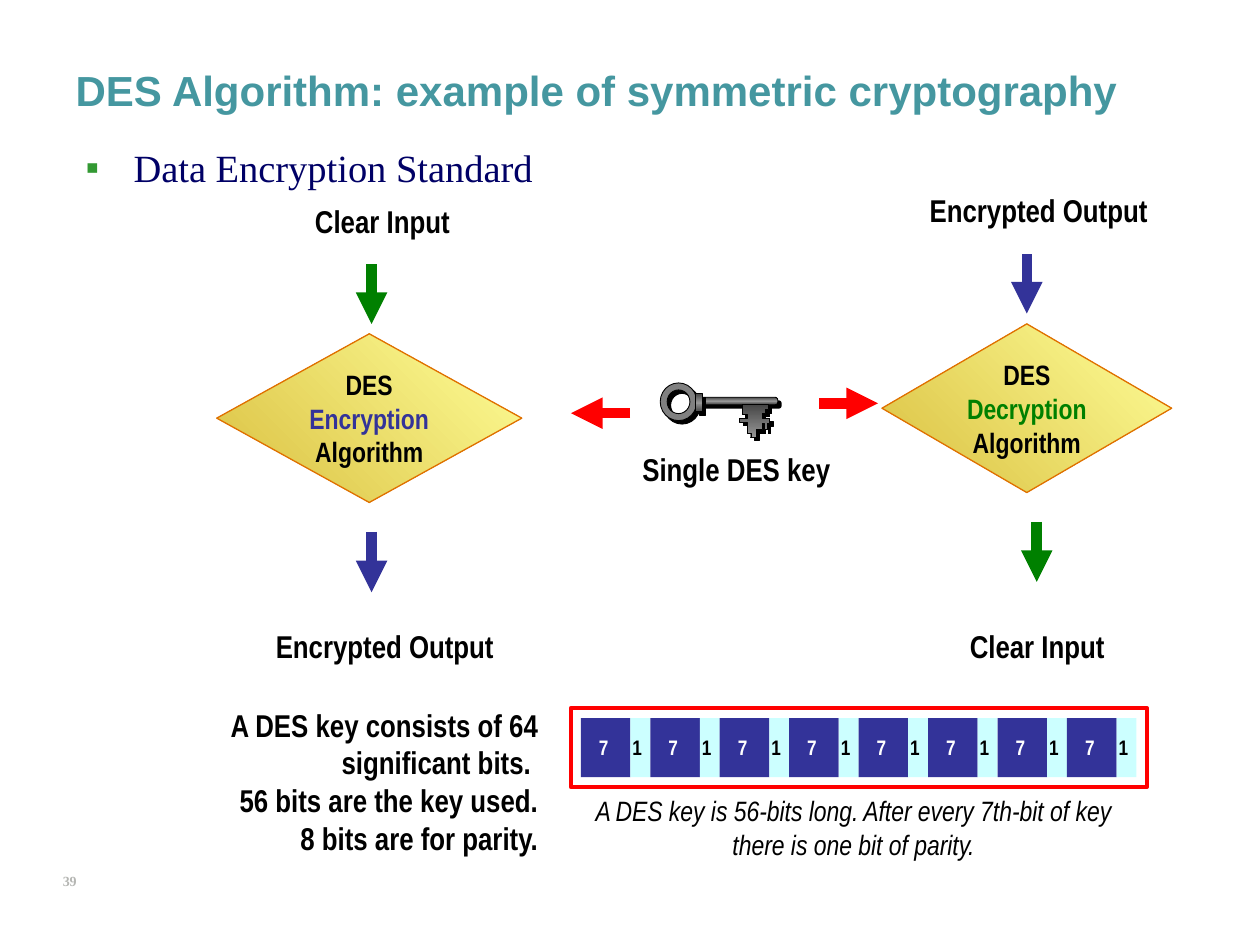
import copy

import pptx
import pptx.dml.color
import pptx.enum.shapes
import pptx.enum.text
import pptx.oxml
import pptx.oxml.ns
import pptx.util
from lxml import etree

Cm, Pt = pptx.util.Cm, pptx.util.Pt
RGB = pptx.dml.color.RGBColor.from_string
MSO = pptx.enum.shapes.MSO_SHAPE
ALIGN = pptx.enum.text.PP_ALIGN
ANCHOR = pptx.enum.text.MSO_ANCHOR
qn = pptx.oxml.ns.qn
NS = 'xmlns:a="http://schemas.openxmlformats.org/drawingml/2006/main"'

THEME = {
    "title": "4597A0", "body": "000066", "bullet": "339933", "number": "B5B6B3",
    "text": "000000", "light": "FFFFFF", "clear": "008000", "secret": "333399",
    "key": "FF0000", "parity": "CCFFFF", "edge": "E07000",
    "gold": ("D9BF40", "FFFF99"), "steel": ("454545", "969696"), "ring": "808080",
    "title_pt": 24, "body_pt": 22, "label_pt": 18, "node_pt": 16, "bit_pt": 12,
    "number_pt": 8, "sans": "Arial", "narrow": "Arial Narrow", "serif": "Times New Roman",
}


def write(p, text, size="label_pt", color="text", font="narrow", bold=True,
          italic=False, align=ALIGN.LEFT):
    p.alignment = align
    for i, line in enumerate(text.split("\n")):
        if i:
            p.add_line_break()
        r = p.add_run()
        r.text = line
        r.font.size = Pt(THEME[size])
        r.font.name = THEME[font]
        r.font.color.rgb = RGB(THEME[color])
        r.font.bold, r.font.italic = bold, italic


def text_box(shapes, x, y, w, h, *paragraphs, wrap=True, **fmt):
    tf = shapes.add_textbox(Cm(x), Cm(y), Cm(w), Cm(h)).text_frame
    tf.word_wrap = wrap
    tf.auto_size = pptx.enum.text.MSO_AUTO_SIZE.SHAPE_TO_FIT_TEXT
    for i, text in enumerate(paragraphs):
        write(tf.add_paragraph() if i else tf.paragraphs[0], text, **fmt)
    return tf


prs = pptx.Presentation()
prs.slide_width, prs.slide_height = Cm(25.4), Cm(19.05)
s = prs.slides.add_slide(prs.slide_layouts[1])

# Title
sp = s.shapes.title
sp.left, sp.top, sp.width, sp.height = Cm(1.27), Cm(1.07), Cm(22.86), Cm(1.47)
write(sp.text_frame.paragraphs[0], "DES Algorithm: example of symmetric cryptography",
      size="title_pt", color="title", font="sans")

# Bulleted body
sp = s.placeholders[1]
sp.left, sp.top, sp.width, sp.height = Cm(1.47), Cm(2.77), Cm(22.66), Cm(13.84)
p = sp.text_frame.paragraphs[0]
write(p, "Data Encryption Standard", size="body_pt", color="body", font="serif", bold=False)
p.space_before = Pt(3)
pPr = p._p.get_or_add_pPr()
pPr.set("marL", str(Cm(0.97)))
pPr.set("indent", str(-Cm(0.97)))
for xml in (f'<a:buClr {NS}><a:srgbClr val="{THEME["bullet"]}"/></a:buClr>',
            f'<a:buChar {NS} char="▪"/>'):
    pPr.append(pptx.oxml.parse_xml(xml))

# Slide number
tf = text_box(s.shapes, 0.91, 17.58, 0.64, 1.04, "39", size="number_pt",
              color="number", font="serif", align=ALIGN.RIGHT)
tf.auto_size = pptx.enum.text.MSO_AUTO_SIZE.NONE
tf.margin_left = tf.margin_right = tf.margin_top = tf.margin_bottom = 0
tf.paragraphs[0].line_spacing = Pt(10)
tf.paragraphs[0].space_before = Pt(2)

# Key: shaft, bit, ring and collar
teeth = [(14.96, 8.15), (14.96, 8.36), (15.06, 8.36), (15.06, 8.43), (14.91, 8.43),
         (14.91, 8.51), (15.06, 8.51), (15.06, 8.74), (15.14, 8.74), (15.14, 8.81),
         (15.24, 8.81), (15.24, 8.66), (15.37, 8.66), (15.37, 8.53), (15.42, 8.53),
         (15.42, 8.66), (15.47, 8.66), (15.47, 8.53), (15.52, 8.53), (15.52, 8.43),
         (15.37, 8.43), (15.37, 8.33), (15.44, 8.33), (15.44, 8.26), (15.49, 8.26),
         (15.49, 8.15)]
g = s.shapes.add_group_shape()
shaft = g.shapes.add_shape(MSO.ROUNDED_RECTANGLE, Cm(14.08), Cm(8.01), Cm(1.6), Cm(0.15))
shaft.adjustments[0] = 0.34
outline = [(Cm(x), Cm(y)) for x, y in teeth]
fb = g.shapes.build_freeform(*outline[0])
fb.add_line_segments(outline[1:], close=True)
bit = fb.convert_to_shape()
ring = g.shapes.add_shape(MSO.DONUT, Cm(13.31), Cm(7.72), Cm(0.74), Cm(0.76))
ring.adjustments[0] = 0.19
collar = g.shapes.add_shape(MSO.RECTANGLE, Cm(14.03), Cm(7.94), Cm(0.13), Cm(0.36))
dark, pale = THEME["steel"]
for sp, colors in ((shaft, (dark, pale, dark)), (bit, (dark, pale)),
                   (ring, (THEME["ring"],)), (collar, (dark, pale, dark))):
    if len(colors) == 1:
        sp.fill.solid()
        sp.fill.fore_color.rgb = RGB(colors[0])
    else:
        sp.fill.gradient()
        sp.fill.gradient_angle = 270
        stops = sp._element.spPr.find(qn("a:gradFill")).find(qn("a:gsLst"))
        if len(colors) == 3:
            stops.append(copy.deepcopy(stops[-1]))
        for i, stop in enumerate(sp.fill.gradient_stops):
            stop.position = i / (len(colors) - 1)
            stop.color.rgb = RGB(colors[i])
    sp.line.color.rgb = RGB(THEME["text"])
    sp.line.width = Pt(0.5)
    sp._element.spPr.append(pptx.oxml.parse_xml(
        f'<a:effectLst {NS}><a:outerShdw dist="{Pt(2.8)}" dir="2700000" algn="ctr" '
        f'rotWithShape="0"><a:srgbClr val="{THEME["text"]}"/></a:outerShdw></a:effectLst>'))

# Labels around the flow
for x, y, w, text in ((12.7, 8.94, 4.34, "Single DES key"),
                      (6.1, 3.94, 3.23, "Clear Input"),
                      (5.31, 12.52, 4.9, "Encrypted Output"),
                      (18.49, 3.73, 4.9, "Encrypted Output"),
                      (19.3, 12.52, 3.23, "Clear Input")):
    text_box(s.shapes, x, y, w, 1.02, text, wrap=False)

# Algorithm diamonds
for x, y, w, step, color in ((4.37, 6.73, 6.15, "Encryption", "secret"),
                             (17.78, 6.53, 5.84, "Decryption", "clear")):
    sp = s.shapes.add_shape(MSO.DIAMOND, Cm(x), Cm(y), Cm(w), Cm(3.4))
    sp.shadow.inherit = False
    sp.fill.gradient()
    sp.fill.gradient_angle = 45
    for stop, gold in zip(sp.fill.gradient_stops, THEME["gold"]):
        stop.color.rgb = RGB(gold)
    sp.line.color.rgb = RGB(THEME["edge"])
    sp.line.width = Pt(0.75)
    tf = sp.text_frame
    tf.word_wrap = True
    tf.vertical_anchor = ANCHOR.MIDDLE
    for text, c in (("DES ", "text"), (step, color), (" Algorithm", "text")):
        write(tf.paragraphs[0], text, size="node_pt", color=c, align=ALIGN.CENTER)

# Arrows
for x1, y1, x2, y2, color in ((7.49, 5.33, 7.49, 6.53, "clear"),
                              (12.7, 8.33, 11.51, 8.33, "key"),
                              (7.49, 10.72, 7.49, 11.94, "secret"),
                              (16.51, 8.13, 17.7, 8.13, "key"),
                              (20.7, 5.13, 20.7, 6.32, "secret"),
                              (20.9, 10.52, 20.9, 11.73, "clear")):
    c = s.shapes.add_connector(pptx.enum.shapes.MSO_CONNECTOR.STRAIGHT,
                               Cm(x1), Cm(y1), Cm(x2), Cm(y2))
    c.line.color.rgb = RGB(THEME[color])
    c.line.width = Pt(6)
    etree.SubElement(c.line._get_or_add_ln(), qn("a:tailEnd"), type="triangle")
    etree.SubElement(c._element.spPr, qn("a:effectLst"))

# Key length notes
text_box(s.shapes, 1.3, 14.1, 9.8, 3.33, "A DES key consists of 64",
         "significant bits. \n56 bits are the key used.", "8 bits are for parity.",
         align=ALIGN.RIGHT)
text_box(s.shapes, 11.51, 15.88, 11.4, 1.63,
         "A DES key is 56-bits long. After every 7th-bit of key there is one bit of parity.",
         size="node_pt", bold=False, italic=True, align=ALIGN.CENTER)

# Key layout: eight groups of 7 key bits and 1 parity bit
sp = s.shapes.add_shape(MSO.RECTANGLE, Cm(11.51), Cm(14.27), Cm(11.61), Cm(1.6))
sp.shadow.inherit = False
sp.fill.background()
sp.line.color.rgb = RGB(THEME["key"])
sp.line.width = Pt(2.25)
for i in range(8):
    x = 11.71 + 1.4 * i
    g = s.shapes.add_group_shape()
    for dx, w, fill, text_dx, text_w, text, color, align in (
            (0, 1, "secret", -0.2, 1.32, "7", "light", ALIGN.CENTER),
            (1, 0.4, "parity", 0.79, 0.61, "1", "text", ALIGN.LEFT)):
        sp = g.shapes.add_shape(MSO.RECTANGLE, Cm(x + dx), Cm(14.48), Cm(w), Cm(1.19))
        sp.shadow.inherit = False
        sp.fill.solid()
        sp.fill.fore_color.rgb = RGB(THEME[fill])
        sp.line.fill.background()
        text_box(g.shapes, x + text_dx, 14.68, text_w, 0.76, text,
                 size="bit_pt", color=color, align=align)

prs.save("out.pptx")
